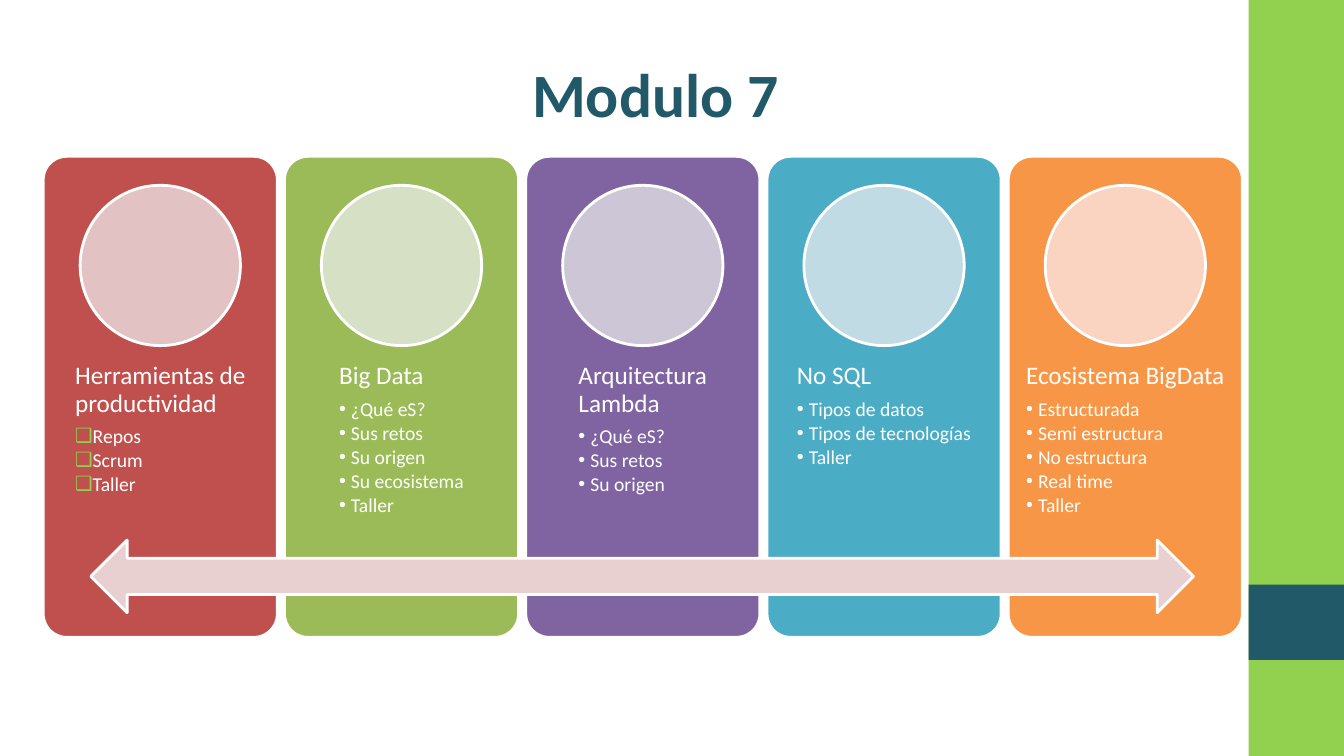
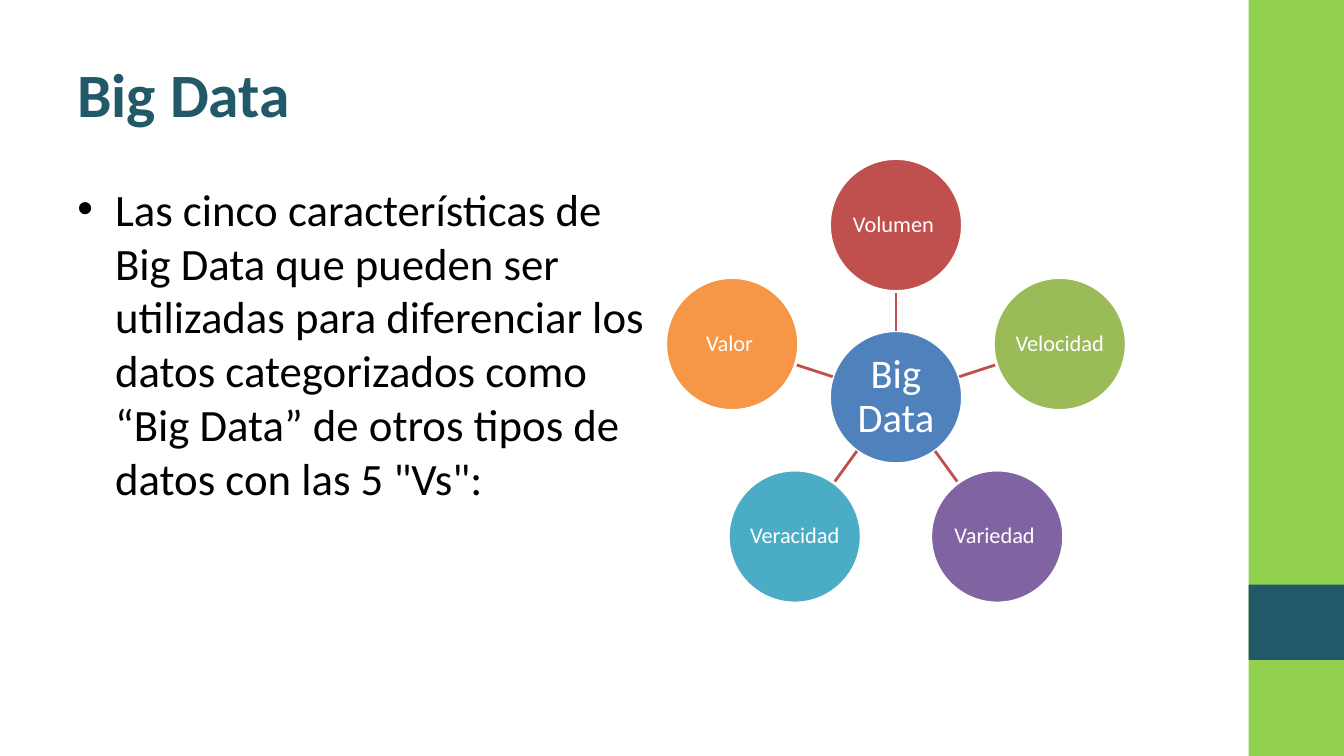
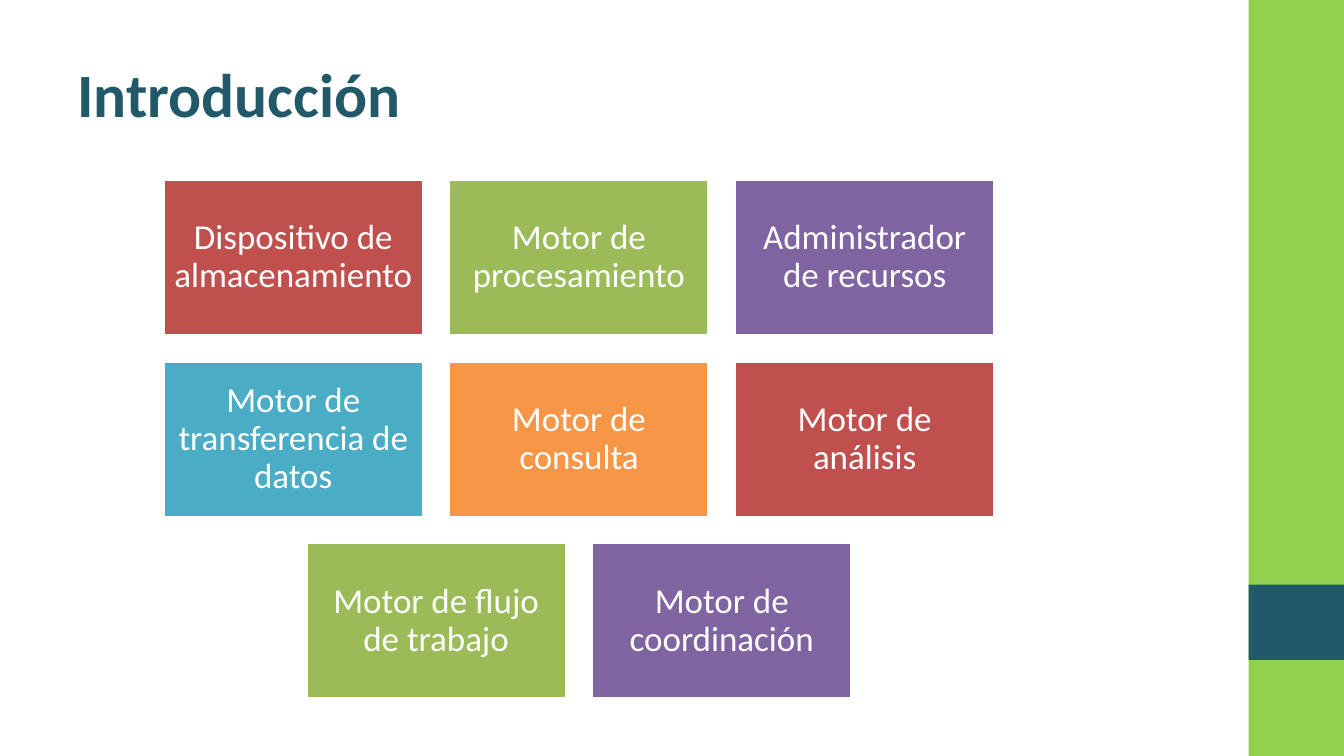
"""Build three slides on the Big Data module: contents, the five Vs and the components."""
from math import cos, radians, sin

from lxml import etree
from pptx import Presentation
from pptx.dml.color import RGBColor
from pptx.enum.shapes import MSO_CONNECTOR, MSO_SHAPE
from pptx.enum.text import MSO_ANCHOR, PP_ALIGN
from pptx.oxml.ns import qn
from pptx.util import Cm, Pt

RECT, ROUNDED = MSO_SHAPE.RECTANGLE, MSO_SHAPE.ROUNDED_RECTANGLE
OVAL, DOUBLE_ARROW = MSO_SHAPE.OVAL, MSO_SHAPE.LEFT_RIGHT_ARROW
STRAIGHT = MSO_CONNECTOR.STRAIGHT
LEFT, CENTER = PP_ALIGN.LEFT, PP_ALIGN.CENTER
TOP, MIDDLE = MSO_ANCHOR.TOP, MSO_ANCHOR.MIDDLE

FONT = "Calibri"
SLIDE_W, SLIDE_H = 33.87, 19.05
BAND_LEFT = 31.47
COLORS = {
    "lime": "92D050", "petrol": "215968", "white": "FFFFFF", "black": "000000",
    "red": "C0504D", "green": "9BBB59", "purple": "8064A2", "aqua": "4BACC6",
    "orange": "F79646", "blue": "4F81BD", "pale red": "E2C2C2",
    "pale green": "D5E0C4", "pale purple": "CDC6D7", "pale aqua": "C1DBE5",
    "pale orange": "FBD3C1", "blush": "E8D0D0",
}
ACCENTS = ["red", "green", "purple", "aqua", "orange"]

TOPICS = [
    ("Herramientas de productividad", "❑", ["Repos", "Scrum", "Taller"]),
    ("Big Data", "•",
     ["¿Qué eS?", "Sus retos", "Su origen", "Su ecosistema", "Taller"]),
    ("Arquitectura Lambda", "•", ["¿Qué eS?", "Sus retos", "Su origen"]),
    ("No SQL", "•", ["Tipos de datos", "Tipos de tecnologías", "Taller"]),
    ("Ecosistema BigData", "•",
     ["Estructurada", "Semi estructura", "No estructura", "Real time", "Taller"]),
]
FIVE_VS_INTRO = (
    "Las cinco características de Big Data que pueden ser utilizadas para "
    "diferenciar los datos categorizados como “Big Data” de otros tipos de "
    'datos con las 5 "Vs":'
)
FIVE_VS = ["Volumen ", "Velocidad ", "Variedad ", "Veracidad ", "Valor "]
COMPONENT_ROWS = [
    [("Dispositivo de almacenamiento", "red"), ("Motor de procesamiento", "green"),
     ("Administrador de recursos", "purple")],
    [("Motor de transferencia de datos", "aqua"), ("Motor de consulta", "orange"),
     ("Motor de análisis", "red")],
    [("Motor de flujo de trabajo", "green"), ("Motor de coordinación", "purple")],
]


def rgb(color):
    return RGBColor.from_string(COLORS[color])


def add_block(slide, preset, box, fill, outline="white"):
    block = slide.shapes.add_shape(preset, *map(Cm, box))
    block.shadow.inherit = False
    block.fill.solid()
    block.fill.fore_color.rgb = rgb(fill)
    if outline:
        block.line.color.rgb = rgb(outline)
        block.line.width = Pt(2)
    else:
        block.line.fill.background()
    return block


def set_frame(shape, anchor, inset=None):
    frame = shape.text_frame
    frame.word_wrap = True
    frame.vertical_anchor = anchor
    if inset is not None:
        frame.margin_left = frame.margin_right = Cm(inset)
        frame.margin_top = frame.margin_bottom = Cm(inset)
    return frame


def write(paragraph, text, size, color="white", align=LEFT, spacing=0.9, bold=False):
    paragraph.alignment = align
    paragraph.line_spacing = spacing
    run = paragraph.add_run()
    run.text = text
    run.font.name = FONT
    run.font.size = Pt(size)
    run.font.bold = bold
    run.font.color.rgb = rgb(color)


def add_bullet(paragraph, mark, indent, color=None):
    props = paragraph._p.get_or_add_pPr()
    props.set("marL", str(Cm(indent)))
    props.set("indent", str(-Cm(indent)))
    if color:
        holder = etree.SubElement(props, qn("a:buClr"))
        etree.SubElement(holder, qn("a:srgbClr"), val=COLORS[color])
    etree.SubElement(props, qn("a:buFont"), typeface="Arial")
    etree.SubElement(props, qn("a:buChar"), char=mark)


def label(shape, text, size, inset):
    frame = set_frame(shape, MIDDLE, inset)
    write(frame.paragraphs[0], text, size, align=CENTER)


def add_page(deck, title, align=LEFT):
    slide = deck.slides.add_slide(deck.slide_layouts[6])
    band_width = SLIDE_W - BAND_LEFT
    add_block(slide, RECT, (BAND_LEFT, 0, band_width, SLIDE_H), "lime", None)
    add_block(slide, RECT, (BAND_LEFT, 14.73, band_width, 1.9), "petrol", None)
    heading = slide.shapes.add_textbox(Cm(1.7), Cm(0.76), Cm(29.64), Cm(3.18))
    write(set_frame(heading, MIDDLE).paragraphs[0], title, 44, "petrol", align, 1.0, True)
    return slide


def build_contents(deck):
    slide = add_page(deck, "Modulo 7", CENTER)
    card_width, step, disc = 5.9, 6.08, 4.04
    for index, ((topic, mark, items), accent) in enumerate(zip(TOPICS, ACCENTS)):
        left = 1.09 + index * step
        card = add_block(slide, ROUNDED, (left, 3.94, card_width, 12.12), accent)
        card.adjustments[0] = 0.1
        disc_left = left + (card_width - disc) / 2
        add_block(slide, OVAL, (disc_left, 4.67, disc, disc), "pale " + accent)
        outline = slide.shapes.add_textbox(Cm(left), Cm(8.79), Cm(card_width), Cm(4.85))
        frame = set_frame(outline, TOP, 0.36)
        frame._txBody.bodyPr.set("anchorCtr", "1")
        write(frame.paragraphs[0], topic, 18)
        frame.paragraphs[0].space_after = Pt(6.3)
        for item in items:
            entry = frame.add_paragraph()
            entry.level = 1
            add_bullet(entry, mark, 0.3, "lime" if mark == "❑" else None)
            write(entry, item, 14)
            entry.space_after = Pt(2.1)
    add_block(slide, DOUBLE_ARROW, (2.29, 13.61, 27.79, 1.83), "blush")


def add_spoke(slide, start, end):
    spoke = slide.shapes.add_connector(STRAIGHT, *map(Cm, start + end))
    spoke.line.color.rgb = rgb("red")
    spoke.line.width = Pt(2)
    etree.SubElement(spoke._element.spPr, qn("a:effectLst"))


def build_five_vs(deck):
    slide = add_page(deck, "Big Data")
    intro = slide.shapes.add_textbox(Cm(1.7), Cm(4.45), Cm(14.83), Cm(8.08))
    paragraph = set_frame(intro, TOP).paragraphs[0]
    add_bullet(paragraph, "•", 0.95)
    write(paragraph, FIVE_VS_INTRO, 32, "black", spacing=1.0)

    center_x, center_y, disc, orbit = 22.58, 10.01, 3.35, 4.34

    def around(distance, angle):
        return center_x + distance * cos(angle), center_y + distance * sin(angle)

    def add_disc(center, fill):
        x, y = center
        return add_block(slide, OVAL, (x - disc / 2, y - disc / 2, disc, disc), fill)

    label(add_disc((center_x, center_y), "blue"), "Big Data", 29, 0.05)
    for index, (name, accent) in enumerate(zip(FIVE_VS, ACCENTS)):
        angle = radians(-90 + index * 360 / len(FIVE_VS))
        add_spoke(slide, around(disc / 2, angle), around(orbit - disc / 2, angle))
        label(add_disc(around(orbit, angle), accent), name, 16, 0.03)


def build_components(deck):
    slide = add_page(deck, "Introducción")
    width, height, gap, middle = 6.55, 3.93, 0.65, 14.59
    for row, components in enumerate(COMPONENT_ROWS):
        row_width = len(components) * (width + gap) - gap
        for column, (component, fill) in enumerate(components):
            left = middle - row_width / 2 + column * (width + gap)
            top = 4.52 + row * (height + gap)
            tile = add_block(slide, RECT, (left, top, width, height), fill)
            label(tile, component, 25, 0.25)


def main():
    deck = Presentation()
    deck.slide_width, deck.slide_height = Cm(SLIDE_W), Cm(SLIDE_H)
    build_contents(deck)
    build_five_vs(deck)
    build_components(deck)
    deck.save("out.pptx")


if __name__ == "__main__":
    main()
